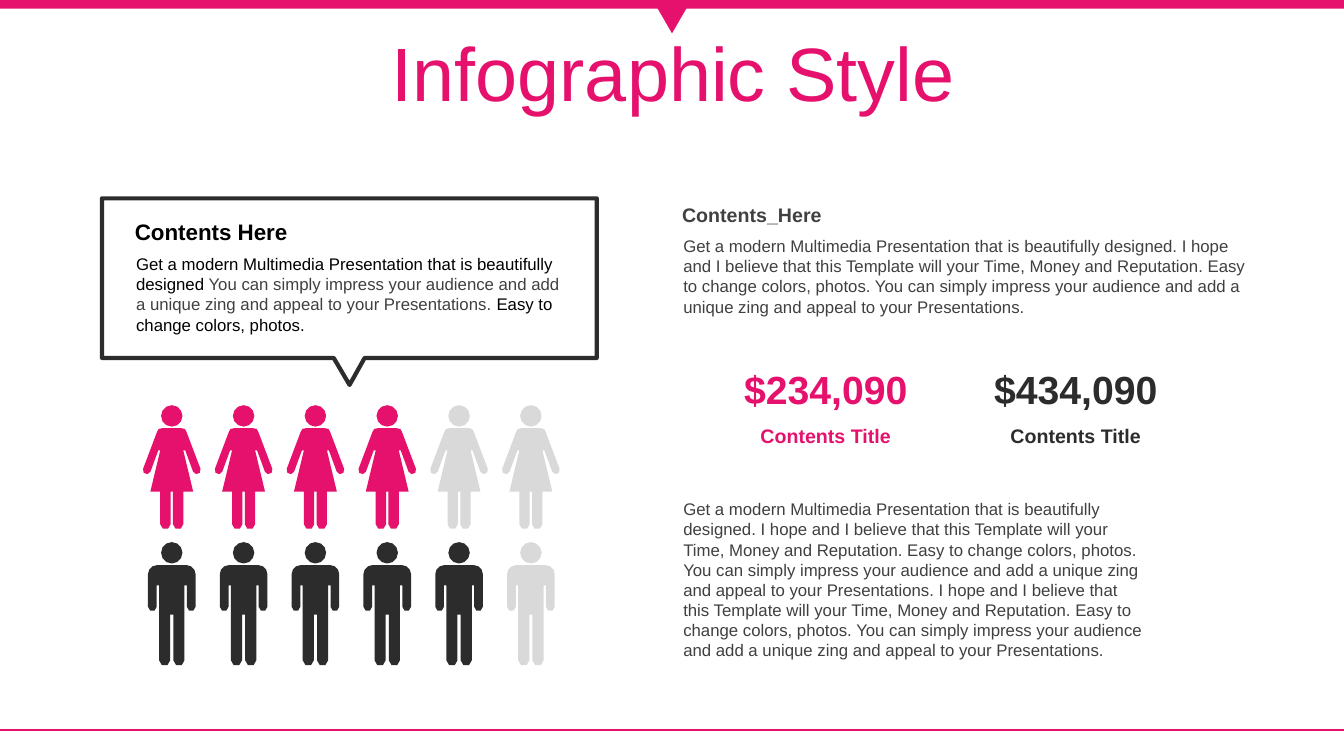
import math

import pptx
import pptx.dml.color
import pptx.enum.shapes
import pptx.enum.text
import pptx.oxml.ns
import pptx.util
from lxml import etree

Cm = pptx.util.Cm
Pt = pptx.util.Pt
SHAPES = pptx.enum.shapes.MSO_SHAPE
ALIGN = pptx.enum.text.PP_ALIGN
ANCHOR = pptx.enum.text.MSO_ANCHOR
AUTO_SIZE = pptx.enum.text.MSO_AUTO_SIZE

PINK, DARK, GREY = "E6106D", "2C2C2C", "D9D9D9"
TEXT, BLACK, WHITE = "404040", "000000", "FFFFFF"
PAGE_WIDTH, PAGE_HEIGHT = 33.87, 19.05

OPENING = "Get a modern Multimedia Presentation that is beautifully designed"
BELIEF = "I hope and I believe that this Template will your Time, Money and Reputation."
CHANGE = "Easy to change colors, photos."
IMPRESS = ("You can simply impress your audience and add a unique zing "
           "and appeal to your Presentations.")
PITCH = f"{BELIEF} {CHANGE} {IMPRESS}"


def rgb(value):
    return pptx.dml.color.RGBColor.from_string(value)


def paint(shape, fill, line=None, width=0):
    shape.shadow.inherit = False
    shape.fill.solid()
    shape.fill.fore_color.rgb = rgb(fill)
    if line:
        shape.line.color.rgb = rgb(line)
        shape.line.width = Pt(width)
    else:
        shape.line.fill.background()


def add_span(para, text, size=12, color=TEXT, bold=False):
    span = para.add_run()
    span.text = text
    span.font.name = "Arial"
    span.font.size = Pt(size)
    span.font.bold = bold
    span.font.color.rgb = rgb(color)


def add_text(page, text, left, top, width, height, align=ALIGN.LEFT,
             anchor=ANCHOR.TOP, **style):
    """Add a text box and return its paragraph."""
    box = page.shapes.add_textbox(Cm(left), Cm(top), Cm(width), Cm(height))
    frame = box.text_frame
    frame.word_wrap = True
    frame.auto_size = AUTO_SIZE.SHAPE_TO_FIT_TEXT
    frame.vertical_anchor = anchor
    para = frame.paragraphs[0]
    para.alignment = align
    add_span(para, text, **style)
    return para


def add_title(page, text):
    title = page.shapes.title
    title.left, title.top = Cm(0.89), Cm(0.94)
    title.width, title.height = Cm(32.16), Cm(2.01)
    frame = title.text_frame
    frame.word_wrap = True
    frame.auto_size = AUTO_SIZE.NONE
    frame.vertical_anchor = ANCHOR.MIDDLE
    para = frame.paragraphs[0]
    para.alignment = ALIGN.CENTER
    para.line_spacing = 0.9
    add_span(para, text, size=54, color=PINK)


def add_preset(page, kind, left, top, width, height, color, rotation=0):
    shape = page.shapes.add_shape(kind, Cm(left), Cm(top), Cm(width), Cm(height))
    shape.rotation = rotation
    paint(shape, color)


def add_rule(page, y, color, width):
    rule = page.shapes.add_connector(
        pptx.enum.shapes.MSO_CONNECTOR.STRAIGHT, Cm(PAGE_WIDTH), Cm(y), Cm(0), Cm(y))
    rule.line.color.rgb = rgb(color)
    rule.line.width = Pt(width)
    properties = rule._element.spPr
    etree.SubElement(properties, pptx.oxml.ns.qn("a:effectLst"))


def add_outline(page, contours, left=0, top=0):
    """Draw closed contours, given in cm, as one freeform."""
    placed = [[(Cm(left + x), Cm(top + y)) for x, y in points] for points in contours]
    builder = page.shapes.build_freeform(*placed[0][0], scale=1.0)
    builder.add_line_segments(placed[0][1:], close=True)
    for points in placed[1:]:
        builder.move_to(*points[0])
        builder.add_line_segments(points[1:], close=True)
    return builder.convert_to_shape()


def arc(x, y, radius, start, end, steps=3):
    angles = [math.radians(start + (end - start) * i / steps) for i in range(steps + 1)]
    return [(x + radius * math.cos(a), y + radius * math.sin(a)) for a in angles]


def figure(right_half):
    """Mirror the right half of a body and add the head."""
    left_half = [(-x, y) for x, y in reversed(right_half)]
    return [right_half + left_half, arc(0, 0.27, 0.27, 0, 330, 11)]


def woman():
    return figure([
        (0.24, 0.58), (0.33, 0.6), (0.37, 0.67),
        *arc(0.63, 1.64, 0.1, -20, 160),
        (0.34, 1.14), (0.29, 1.14), (0.54, 2.18), (0.29, 2.18),
        *arc(0.16, 3, 0.13, 0, 180), (0.03, 2.18)])


def man():
    return figure([
        *arc(0.37, 0.81, 0.23, -90, 0),
        *arc(0.49, 1.63, 0.11, 0, 180),
        (0.38, 1.09), (0.32, 1.09),
        *arc(0.18, 2.98, 0.14, 0, 180), (0.04, 1.83)])


def add_people(page, contours, top, color, highlighted, count=6):
    for i in range(count):
        person = add_outline(page, contours, 4.33 + 1.81 * i, top)
        paint(person, color if i < highlighted else GREY)


def add_callout(page):
    bubble = add_outline(page, [[
        (2.57, 5), (15.04, 5), (15.04, 9.02), (9.19, 9.02),
        (8.81, 9.7), (8.41, 9.02), (2.57, 9.02)]])
    paint(bubble, WHITE, DARK, 3)
    add_text(page, "Contents Here", 3.15, 5.36, 11.3, 0.94,
             anchor=ANCHOR.MIDDLE, size=16, color=BLACK, bold=True)
    para = add_text(page, OPENING, 3.18, 6.27, 11.28, 2.31, color=BLACK)
    add_span(para, f" {IMPRESS}")
    add_span(para, f" {CHANGE}", color=BLACK)


def add_amount(page, amount, left, color):
    for text, top, height, size in ((amount, 9.07, 1.45, 28),
                                    ("Contents Title", 10.57, 0.86, 14)):
        add_text(page, text, left, top, 4.9, height, align=ALIGN.CENTER,
                 size=size, color=color, bold=True)


def main():
    deck = pptx.Presentation()
    deck.slide_width, deck.slide_height = Cm(PAGE_WIDTH), Cm(PAGE_HEIGHT)
    page = deck.slides.add_slide(deck.slide_layouts[5])

    # Page frame and title
    add_rule(page, 18.39, PINK, 1.5)
    add_preset(page, SHAPES.RECTANGLE, 0, 0, PAGE_WIDTH, 0.22, PINK)
    add_preset(page, SHAPES.ISOSCELES_TRIANGLE, 16.45, 0, 0.97, 0.84, PINK, 180)
    add_title(page, "Infographic Style")

    # Right column
    add_text(page, f"{OPENING}. {PITCH}", 16.97, 5.82, 14.91, 2.31)
    add_text(page, "Contents_Here", 16.94, 5, 14.91, 0.86, size=14, bold=True)
    add_amount(page, "$234,090", 18.36, PINK)
    add_amount(page, "$434,090", 24.66, DARK)
    add_text(page, f"{OPENING}. {PITCH} {PITCH}", 16.97, 12.45, 12.19, 4.37)

    # People chart and callout
    add_people(page, man(), 13.66, DARK, highlighted=5)
    add_people(page, woman(), 10.21, PINK, highlighted=4)
    add_callout(page)

    deck.save("out.pptx")


if __name__ == "__main__":
    main()
